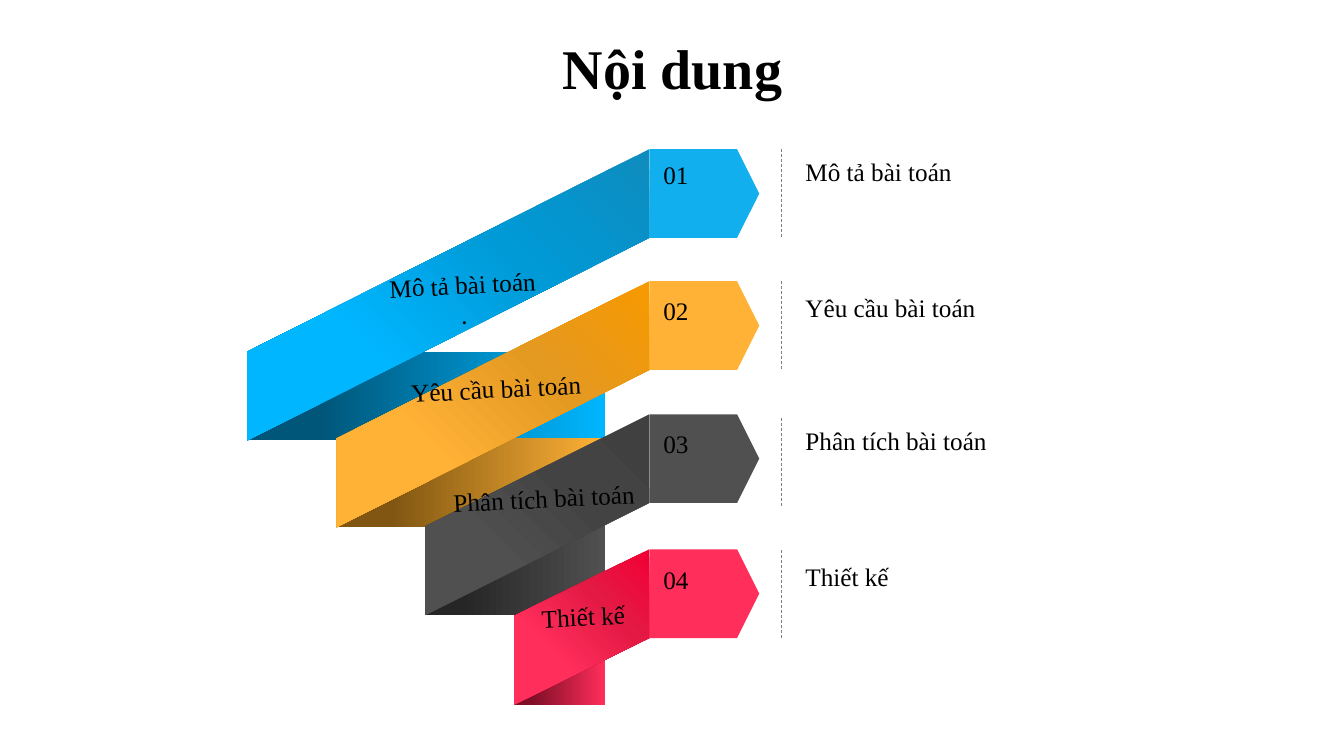
from dataclasses import dataclass

from lxml.etree import SubElement
from pptx import Presentation
from pptx.dml.color import RGBColor
from pptx.enum.dml import MSO_LINE
from pptx.enum.shapes import MSO_CONNECTOR, MSO_SHAPE
from pptx.enum.text import MSO_AUTO_SIZE, PP_ALIGN
from pptx.oxml.ns import qn
from pptx.util import Inches, Pt

BAND = 0.88
FOLD_RIGHT = 6.0
TAG_LEFT = 6.44
TAG_SHOULDER = 7.31
TAG_TIP = 7.53
DIVIDER_X = 7.75
TEXT = {"name": "Times New Roman", "size": Pt(18), "bold": False}
TITLE = TEXT | {"size": Pt(40), "bold": True}


@dataclass
class Box:
    left: float
    top: float
    width: float
    height: float


@dataclass
class Step:
    name: str
    label: str
    left: float
    top: float
    fold_top: float
    divider_top: float
    number_top: float
    caption_height: float
    label_box: Box
    label_wrap: bool
    color: str
    fold_dark: str
    ribbon_dark: str
    ribbon_mid: str


STEPS = [
    Step("Mô tả bài toán", "Mô tả bài toán\n.", 2.45, 1.48, 3.49, 1.48, 1.53, 0.71,
         Box(3.74, 2.62, 1.71, 0.71), False, "00B6FF", "005679", "0E8CBE", "009AD7"),
    Step("Yêu cầu bài toán", "Yêu cầu bài toán", 3.34, 2.79, 4.35, 2.79, 2.88, 0.71,
         Box(3.34, 3.65, 3.16, 0.4), True, "FFB236", "805612", "F79900", "E49921"),
    Step("Phân tích bài toán", "Phân tích bài toán", 4.22, 4.11, 5.22, 4.15, 4.2, 0.71,
         Box(3.86, 4.74, 3.07, 0.4), True, "505050", "262626", "404040", "434343"),
    Step("Thiết kế", "Thiết kế", 5.1, 5.45, 6.11, 5.46, 5.55, 0.4,
         Box(4.86, 5.91, 1.85, 0.4), True, "FF2E5B", "800E27", "F10034", "E41A45"),
]
TAG_COLORS = ["11AFEE"] + [step.color for step in STEPS[1:]]


def rgb(value: str) -> RGBColor:
    return RGBColor.from_string(value)


def fill_gradient(sp, stops: list[tuple[int, str]], angle: int) -> None:
    sp.fill.gradient()
    sp.fill.gradient_angle = angle
    gs_lst = sp._element.spPr.find(f"{qn('a:gradFill')}/{qn('a:gsLst')}")
    gs_lst.clear()
    for position, color in stops:
        gs = SubElement(gs_lst, qn("a:gs"), pos=str(position * 1000))
        SubElement(gs, qn("a:srgbClr"), val=color)


def plain(sp):
    sp.shadow.inherit = False
    sp.line.fill.background()
    return sp


def add_polygon(s, points: list[tuple[float, float]]):
    start, *rest = [(Inches(x), Inches(y)) for x, y in points]
    builder = s.shapes.build_freeform(*start, scale=1.0)
    builder.add_line_segments(rest, close=True)
    return plain(builder.convert_to_shape())


def add_text(s, text: str, box: Box, font: dict = TEXT, wrap: bool = False,
             align: PP_ALIGN = PP_ALIGN.LEFT, rotation: float = 0) -> None:
    sp = s.shapes.add_textbox(Inches(box.left), Inches(box.top),
                              Inches(box.width), Inches(box.height))
    sp.rotation = rotation
    tf = sp.text_frame
    tf.text = text
    tf.word_wrap = wrap
    tf.auto_size = MSO_AUTO_SIZE.SHAPE_TO_FIT_TEXT
    for p in tf.paragraphs:
        p.alignment = align
        for r in p.runs:
            r.font.color.rgb = rgb("000000")
            for key, value in font.items():
                setattr(r.font, key, value)


def add_ribbon(s, step: Step, tag_color: str) -> None:
    top, bottom = step.top, step.top + BAND
    fold = plain(s.shapes.add_shape(
        MSO_SHAPE.RECTANGLE, Inches(step.left), Inches(step.fold_top),
        Inches(FOLD_RIGHT - step.left), Inches(BAND)))
    fill_gradient(fold, [(20, step.fold_dark), (100, step.color)], 0)
    ribbon = add_polygon(s, [
        (step.left, step.fold_top + BAND), (step.left, step.fold_top),
        (TAG_LEFT, top), (TAG_LEFT, bottom)])
    fill_gradient(ribbon, [(0, step.ribbon_dark), (35, step.ribbon_mid),
                           (70, step.color)], 225)
    tag = add_polygon(s, [
        (TAG_LEFT, top), (TAG_SHOULDER, top), (TAG_TIP, top + BAND / 2),
        (TAG_SHOULDER, bottom), (TAG_LEFT, bottom)])
    tag.fill.solid()
    tag.fill.fore_color.rgb = rgb(tag_color)


def add_divider(s, top: float) -> None:
    line = s.shapes.add_connector(MSO_CONNECTOR.STRAIGHT, Inches(DIVIDER_X), Inches(top),
                                  Inches(DIVIDER_X), Inches(top + BAND))
    line.line.color.rgb = rgb("7F7F7F")
    line.line.width = Pt(0.5)
    line.line.dash_style = MSO_LINE.DASH
    SubElement(line._element.spPr, qn("a:effectLst"))


def main() -> None:
    prs = Presentation()
    prs.slide_width, prs.slide_height = Inches(13.33), Inches(7.5)
    s = prs.slides.add_slide(prs.slide_layouts[6])
    add_text(s, "Nội dung", Box(5.47, 0.28, 2.4, 0.77), TITLE, align=PP_ALIGN.CENTER)
    for step, tag_color in zip(STEPS, TAG_COLORS):
        add_ribbon(s, step, tag_color)
    for number, step in enumerate(STEPS, 1):
        add_divider(s, step.divider_top)
        add_text(s, f"{number:02}", Box(6.48, step.number_top, 0.45, 0.4))
        add_text(s, step.label, step.label_box, wrap=step.label_wrap,
                 align=PP_ALIGN.CENTER, rotation=-3)
        add_text(s, step.name, Box(7.89, step.number_top - 0.03, 2.92, step.caption_height),
                 wrap=True)
    prs.save("out.pptx")


if __name__ == "__main__":
    main()
